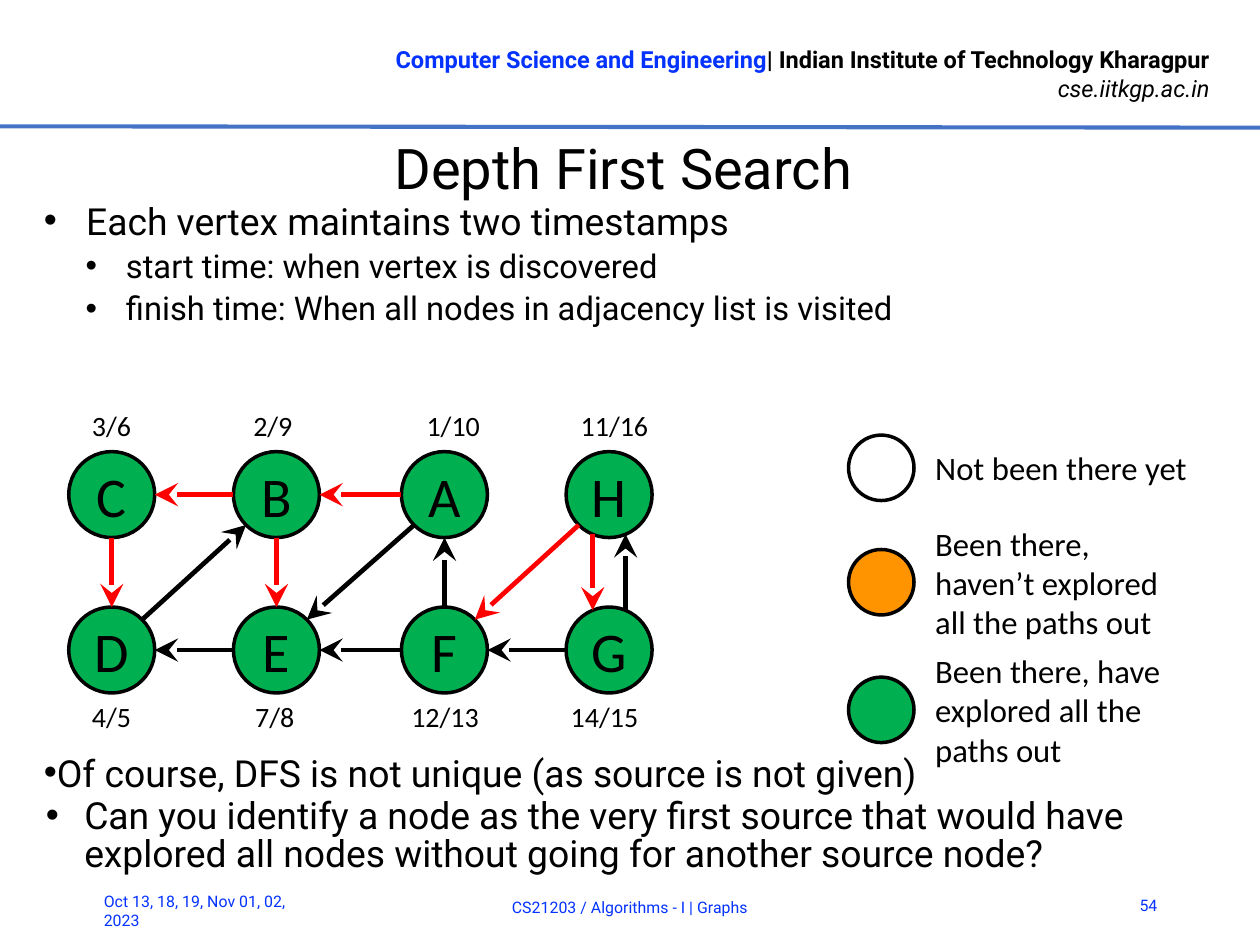
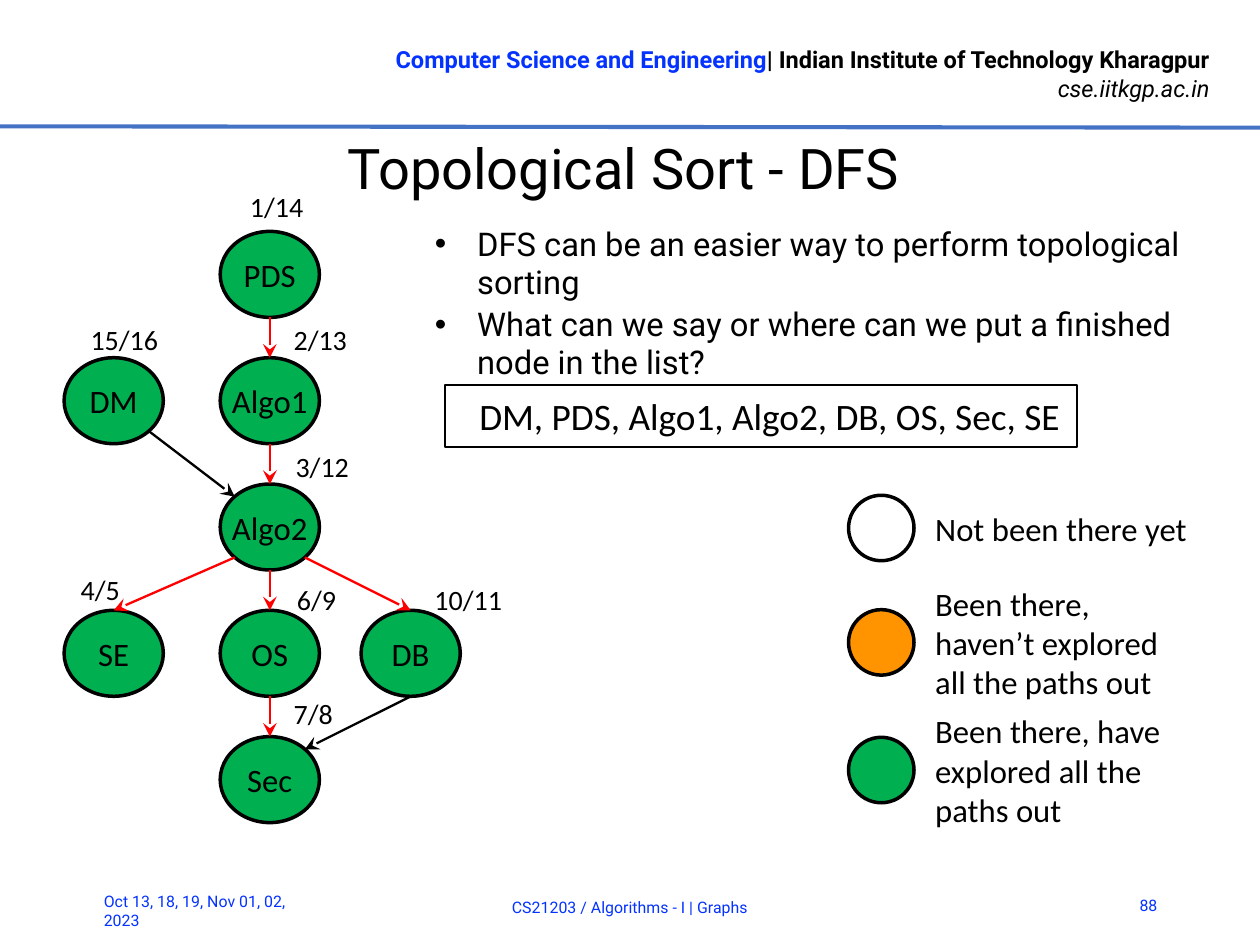
from math import cos, radians, sin

from lxml import etree
from pptx import Presentation
from pptx.dml.color import RGBColor
from pptx.enum.shapes import MSO_CONNECTOR, MSO_SHAPE
from pptx.enum.text import MSO_ANCHOR, MSO_AUTO_SIZE, PP_ALIGN
from pptx.oxml.ns import qn
from pptx.util import Cm, Pt

LEFT, MID, RIGHT = PP_ALIGN.LEFT, PP_ALIGN.CENTER, PP_ALIGN.RIGHT
TOP, CENTRE = MSO_ANCHOR.TOP, MSO_ANCHOR.MIDDLE
OVAL, RECT = MSO_SHAPE.OVAL, MSO_SHAPE.RECTANGLE
STRAIGHT, NO_FIT = MSO_CONNECTOR.STRAIGHT, MSO_AUTO_SIZE.NONE

COLOURS = {"ink": "000000", "blue": "0432FF", "rule": "4472C4",
           "red": "FF0000", "green": "00B050", "amber": "FF9300"}
SANS, PLAIN = "Roboto", "Calibri"
COMPASS = "e ese se sse s ssw sw wsw w wnw nw nnw n nne ne ene".split()

# Shared content; all lengths are in centimetres
HEAD = [
    [("Computer Science and Engineering", "blue", True, False),
     ("| Indian Institute of Technology Kharagpur", "ink", True, False)],
    [("cse.iitkgp.ac.in", "ink", False, True)],
]
DATE = "Oct 13, 18, 19, Nov 01, 02, 2023"
COURSE = "CS21203 / Algorithms - I | Graphs"
LEGEND = [  # text, fill, top below the first circle
    ("Not been there yet", None, 0),
    ("Been there, haven’t explored all the paths out", "amber", 1.73),
    ("Been there, have explored all the paths out", "green", 3.66),
]

# List rows: text, level, size, margin, indent, space before
# Nodes: name -> column, row, timestamp, its left and top
# Edges: from, side, to, side, colour
SLIDES = [
    {
        "title": "Depth First Search", "page": "54",
        "body": (0.41, 2.97, 18.24, 10.31),
        "list": [
            ("Each vertex maintains two timestamps", 0, 16, 0.64, -0.64, 0),
            ("start time: when vertex is discovered", 1, 14, 1.24, -0.61, 1),
            ("finish time: When all nodes in adjacency list is visited",
             1, 14, 1.24, -0.61, 1),
            ("Of course, DFS is not unique (as source is not given)",
             0, 16, 0, 0, 183),
            ("Can you identify a node as the very first source that would have "
             "explored all nodes without going for another source node?",
             0, 16, 0.61, -0.58, 1),
        ],
        "cols": [1.04, 3.53, 6.07, 8.56], "rows": [6.83, 9.18],
        "node": (1.3, 1.3), "size": 24, "line": 2, "tip": "lg",
        "nodes": {
            "C": (0, 0, "3/6", 1.14, 6.05), "B": (1, 0, "2/9", 3.58, 6.05),
            "A": (2, 0, "1/10", 6.2, 6.05), "H": (3, 0, "11/16", 8.53, 6.05),
            "D": (0, 1, "4/5", 1.14, 10.46), "E": (1, 1, "7/8", 3.61, 10.46),
            "F": (2, 1, "12/13", 5.97, 10.46), "G": (3, 1, "14/15", 8.38, 10.46),
        },
        "edges": [
            ("A", "w", "B", "e", "red"), ("B", "w", "C", "e", "red"),
            ("C", "s", "D", "n", "red"), ("B", "s", "E", "n", "red"),
            ("H", "sw", "F", "ne", "red"), ("H", "ssw", "G", "nnw", "red"),
            ("G", "nne", "H", "sse", "ink"), ("G", "w", "F", "e", "ink"),
            ("F", "w", "E", "e", "ink"), ("E", "w", "D", "e", "ink"),
            ("F", "n", "A", "s", "ink"), ("A", "sw", "E", "ne", "ink"),
            ("D", "ne", "B", "sw", "ink"),
        ],
        "legend": 6.58,
    },
    {
        "title": "Topological Sort - DFS", "page": "88",
        "body": (6.32, 3.28, 12.4, 3.07),
        "list": [
            ("DFS can be an easier way to perform topological sorting",
             0, 14, 0.64, -0.64, 0),
            ("What can we say or where can we put a finished node in the list?",
             0, 14, 0.64, -0.64, 1),
        ],
        "cols": [0.97, 3.33, 5.46], "rows": [3.5 + 1.91 * i for i in range(5)],
        "node": (1.5, 1.3), "size": 14, "line": 1, "tip": "med",
        "nodes": {
            "PDS": (1, 0, "1/14", 3.53, 2.74), "DM": (0, 1, "15/16", 1.12, 4.75),
            "Algo1": (1, 1, "2/13", 4.19, 4.75),
            "Algo2": (1, 2, "3/12", 4.22, 6.68),
            "SE": (0, 3, "4/5", 0.97, 8.53), "OS": (1, 3, "6/9", 4.24, 8.69),
            "DB": (2, 3, "10/11", 6.32, 8.69), "Sec": (1, 4, "7/8", 4.19, 10.41),
        },
        "edges": [
            ("PDS", "s", "Algo1", "n", "red"), ("Algo1", "s", "Algo2", "n", "red"),
            ("Algo2", "s", "OS", "n", "red"), ("Algo2", "se", "DB", "n", "red"),
            ("Algo2", "sw", "SE", "n", "red"), ("OS", "s", "Sec", "n", "red"),
            ("DM", "se", "Algo2", "nw", "ink"), ("DB", "s", "Sec", "ne", "ink"),
        ],
        "legend": 7.49,
        "order": "DM, PDS, Algo1, Algo2, DB, OS, Sec, SE",
    },
]


def rgb(name):
    return RGBColor.from_string(COLOURS[name])


def style(run, size, colour="ink", face=SANS, bold=False, slant=False):
    font = run.font
    font.size, font.name = Pt(size), face
    font.bold, font.italic = bold, slant
    font.color.rgb = rgb(colour)


def write(shape, text, size, colour="ink", face=PLAIN, align=LEFT,
          anchor=CENTRE, wrap=True):
    frame = shape.text_frame
    frame.text = text
    frame.word_wrap, frame.vertical_anchor = wrap, anchor
    para = frame.paragraphs[0]
    para.alignment = align
    style(para.runs[0], size, colour, face)


def add_box(slide, at, *args, **opts):
    write(slide.shapes.add_textbox(*map(Cm, at)), *args, **opts)


def add_form(slide, kind, at, fill, width=1.5):
    form = slide.shapes.add_shape(kind, *map(Cm, at))
    form.shadow.inherit = False
    if fill:
        form.fill.solid()
        form.fill.fore_color.rgb = rgb(fill)
    else:
        form.fill.background()
    form.line.color.rgb = rgb("ink")
    form.line.width = Pt(width)
    return form


def add_line(slide, start, end, colour, width, tip=None):
    line = slide.shapes.add_connector(STRAIGHT, *map(Cm, (*start, *end)))
    line.line.color.rgb = rgb(colour)
    line.line.width = Pt(width)
    if tip:
        etree.SubElement(line.line._get_or_add_ln(), qn("a:tailEnd"),
                         type="stealth", w=tip, len=tip)
    etree.SubElement(line._element.spPr, qn("a:effectLst"))


def add_frame(slide, page):
    # Header, rule and footers
    frame = slide.shapes.add_textbox(Cm(4.85), Cm(0.56), Cm(13.69), Cm(1.12)).text_frame
    frame.word_wrap = False
    for i, runs in enumerate(HEAD):
        para = frame.add_paragraph() if i else frame.paragraphs[0]
        para.alignment = RIGHT
        for text, colour, bold, slant in runs:
            run = para.add_run()
            run.text = text
            style(run, 10.1, colour, SANS, bold, slant)
    add_line(slide, (0, 1.91), (19.05, 1.93), "rule", 1.75)
    for text, at, align in [(DATE, (1.32, 13.39, 3.33, 0.76), LEFT),
                            (COURSE, (3.15, 13.34, 12.75, 0.76), MID),
                            (page, (16.81, 13.31, 0.94, 0.76), RIGHT)]:
        add_box(slide, at, text, 6.8, "blue", SANS, align)


def add_list(body, at, rows):
    body.left, body.top, body.width, body.height = map(Cm, at)
    frame = body.text_frame
    frame.auto_size = NO_FIT
    for i, (text, level, size, margin, indent, gap) in enumerate(rows):
        para = frame.add_paragraph() if i else frame.paragraphs[0]
        para.text, para.level = text, level
        props = para._p.get_or_add_pPr()
        props.set("marL", str(Cm(margin)))
        props.set("indent", str(Cm(indent)))
        etree.SubElement(props, qn("a:buChar"), char="•")
        para.line_spacing = Pt(16.2)
        para.space_before, para.space_after = Pt(gap), Pt(1)
        style(para.runs[0], size)


def add_graph(slide, data):
    wide, high = data["node"]

    def rim(name, side):
        col, row = data["nodes"][name][:2]
        turn = radians(22.5 * COMPASS.index(side))
        return (data["cols"][col] + wide / 2 * (1 + cos(turn)),
                data["rows"][row] + high / 2 * (1 + sin(turn)))

    for name, (col, row, time, left, top) in data["nodes"].items():
        at = (data["cols"][col], data["rows"][row], wide, high)
        node = add_form(slide, OVAL, at, "green")
        write(node, name, data["size"], align=MID, wrap=False)
        add_box(slide, (left, top, 0.44 + 0.22 * len(time), 0.76), time, 12,
                anchor=TOP, wrap=False)
    for start, out, end, into, colour in data["edges"]:
        add_line(slide, rim(start, out), rim(end, into), colour,
                 data["line"], data["tip"])


def add_legend(slide, top):
    size, high = 0.99, 2.06
    for text, fill, drop in LEGEND:
        add_form(slide, OVAL, (12.83, top + drop, size, size), fill)
        add_box(slide, (13.89, top + drop + (size - high) / 2, 4.37, high), text, 14)


def main():
    deck = Presentation()
    deck.slide_width, deck.slide_height = Cm(19.05), Cm(14.29)
    layout = deck.slide_layouts[1]

    # Shared title place
    title = layout.placeholders[0]
    title.left, title.top, title.width, title.height = map(Cm, (0.61, 2.01, 17.63, 1.04))

    for data in SLIDES:
        slide = deck.slides.add_slide(layout)
        add_frame(slide, data["page"])
        title, body = slide.placeholders
        write(title, data["title"], 24, face=SANS, align=MID)
        frame = title.text_frame
        frame.auto_size = NO_FIT
        frame.margin_left = frame.margin_right = frame.margin_top = frame.margin_bottom = 0
        add_list(body, data["body"], data["list"])
        add_graph(slide, data)
        add_legend(slide, data["legend"])
        if "order" in data:
            bar = add_form(slide, RECT, (6.73, 5.82, 9.55, 0.94), None, 0.75)
            write(bar, data["order"], 16, align=RIGHT)

    deck.save("out.pptx")


if __name__ == "__main__":
    main()
